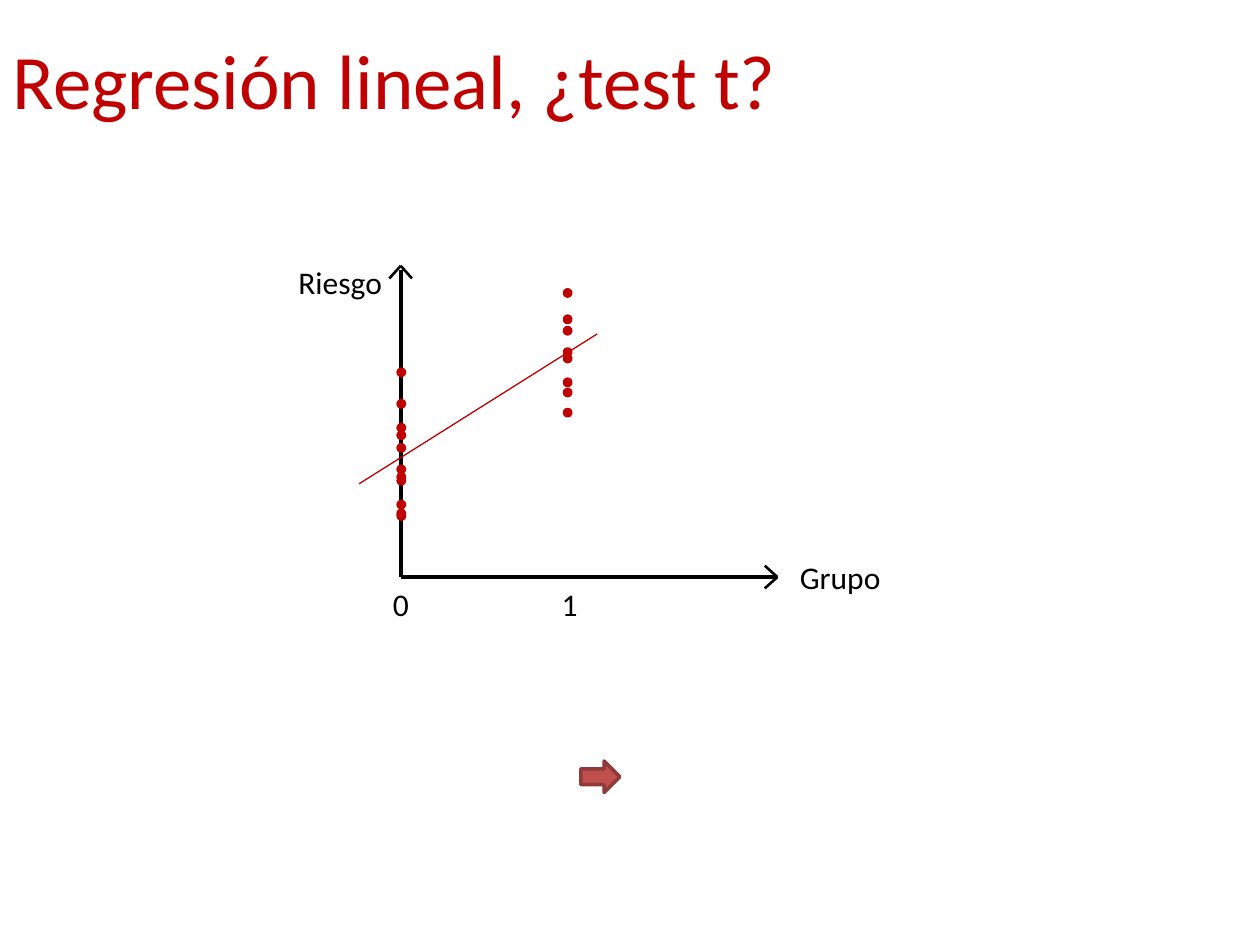
from lxml.etree import SubElement
from pptx import Presentation
from pptx.dml.color import RGBColor
from pptx.enum.shapes import MSO_CONNECTOR as CONN, MSO_SHAPE as SHAPE
from pptx.enum.text import MSO_ANCHOR as ANCHOR, MSO_AUTO_SIZE as AUTO, PP_ALIGN as ALIGN
from pptx.oxml.ns import qn
from pptx.util import Inches, Pt

TITLE = "Regresión lineal, ¿test t?"
LABELS = [
    ("Riesgo", 2.27, 2.04, 0.87),
    ("Grupo", 6.25, 4.38, 0.85),
    ("0", 3.02, 4.59, 0.33),
    ("1", 4.36, 4.59, 0.33),
]
GROUPS = {
    3.16: [2.93, 3.18, 3.37, 3.43, 3.53, 3.7, 3.76, 3.79, 3.98, 4.05, 4.07],
    4.48: [2.3, 2.51, 2.6, 2.77, 2.82, 3.01, 3.09, 3.25],
}
ORIGIN_X, ORIGIN_Y = 3.18, 4.58
AXIS_TOP, AXIS_RIGHT = 2.11, 6.17
HEAD_LENGTH, HEAD_HALF = 0.1, 0.09
REGRESSION = (2.85, 3.84, 4.74, 2.65)
DOT = 0.05
ARROW = (4.61, 6.04, 0.31, 0.25)

THEME = dict(
    font="Calibri", title=44, label=18,
    red="C00000", black="000000", arrow="C0504D", arrow_line="8E3B39",
    axis=2.25, head=1.5, trend=0.75, outline=2,
)


def color(name):
    return RGBColor.from_string(THEME[name])


def write(sp, text, size="label", fill="black", wrap=False):
    tf = sp.text_frame
    tf.word_wrap = wrap
    tf.auto_size = AUTO.SHAPE_TO_FIT_TEXT
    tf.vertical_anchor = ANCHOR.TOP
    p = tf.paragraphs[0]
    p.alignment = ALIGN.LEFT
    r = p.add_run()
    r.text = text
    r.font.name = THEME["font"]
    r.font.size = Pt(THEME[size])
    r.font.color.rgb = color(fill)


def add_line(s, x1, y1, x2, y2, width, fill="black"):
    ln = s.shapes.add_connector(CONN.STRAIGHT, *map(Inches, (x1, y1, x2, y2)))
    ln.line.color.rgb = color(fill)
    ln.line.width = Pt(THEME[width])
    SubElement(ln._element.spPr, qn("a:effectLst"))


def add_filled(s, kind, box, fill, outline):
    sp = s.shapes.add_shape(kind, *map(Inches, box))
    sp.shadow.inherit = False
    sp.fill.solid()
    sp.fill.fore_color.rgb = color(fill)
    sp.line.color.rgb = color(outline)
    sp.line.width = Pt(THEME["outline"])


prs = Presentation()
prs.slide_width, prs.slide_height = Inches(10), Inches(7.5)
s = prs.slides.add_slide(prs.slide_layouts[5])

title = s.shapes.title
title.left, title.top, title.width, title.height = map(Inches, (0, 0.21, 10, 0.84))
write(title, TITLE, size="title", fill="red", wrap=True)

add_line(s, ORIGIN_X, AXIS_TOP + 0.03, ORIGIN_X, ORIGIN_Y, "axis")
add_line(s, ORIGIN_X, ORIGIN_Y, AXIS_RIGHT, ORIGIN_Y, "axis")
for side in (-HEAD_HALF, HEAD_HALF):
    add_line(s, AXIS_RIGHT - HEAD_LENGTH, ORIGIN_Y + side, AXIS_RIGHT, ORIGIN_Y, "head")
    add_line(s, ORIGIN_X + side, AXIS_TOP + HEAD_LENGTH, ORIGIN_X, AXIS_TOP, "head")

add_line(s, *REGRESSION, "trend", fill="red")
for x, tops in GROUPS.items():
    for y in tops:
        add_filled(s, SHAPE.OVAL, (x, y, DOT, DOT), "red", "red")

for text, x, y, width in LABELS:
    write(s.shapes.add_textbox(*map(Inches, (x, y, width, 0.4))), text)

add_filled(s, SHAPE.RIGHT_ARROW, ARROW, "arrow", "arrow_line")

prs.save("out.pptx")
